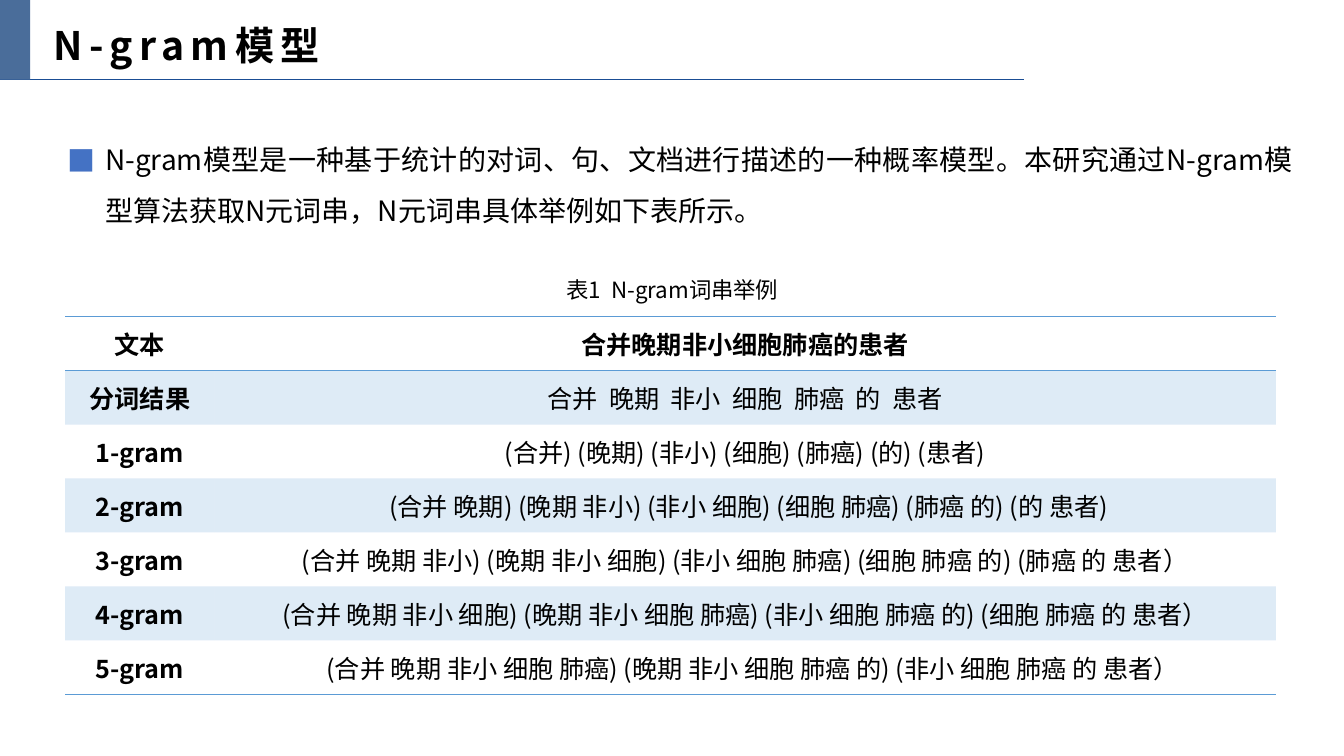
from lxml import etree
from pptx import Presentation
from pptx.dml.color import RGBColor
from pptx.enum import shapes, text
from pptx.oxml.ns import qn
from pptx.util import Pt

FONT = "Noto Sans CJK SC"
COLORS = {"text": "000000", "rule": "1A4D94", "block": "4A6D9A",
          "bullet": "4472C4", "table": "5B9BD5"}
NO_STYLE = "{2D5ABB26-0587-4C30-8999-92F81FD0307C}"

TITLE = "N-gram模型"
INTRO = ("N-gram模型是一种基于统计的对词、句、文档进行描述的一种概率模型。"
         "本研究通过N-gram模型算法获取N元词串，N元词串具体举例如下表所示。")
CAPTION = "表1  N-gram词串举例"
ROWS = [
    ("文本", "合并晚期非小细胞肺癌的患者"),
    ("分词结果", "合并  晚期  非小  细胞  肺癌  的  患者"),
    ("1-gram", "(合并) (晚期) (非小) (细胞) (肺癌) (的) (患者)"),
    ("2-gram", "(合并 晚期) (晚期 非小) (非小 细胞) (细胞 肺癌) (肺癌 的) (的 患者)"),
    ("3-gram", "(合并 晚期 非小) (晚期 非小 细胞) (非小 细胞 肺癌) (细胞 肺癌 的) (肺癌 的 患者）"),
    ("4-gram", "(合并 晚期 非小 细胞) (晚期 非小 细胞 肺癌) (非小 细胞 肺癌 的) (细胞 肺癌 的 患者）"),
    ("5-gram", "(合并 晚期 非小 细胞 肺癌) (晚期 非小 细胞 肺癌 的) (非小 细胞 肺癌 的 患者）"),
]
INDENTS = {3: 5, 6: 10.8}  # left indent of the word-string cell, by row
COLUMNS = (106.5, 758.2)
ROW_HEIGHT = 38.55
BORDERS = {0: ("a:lnT", "a:lnB"), len(ROWS) - 1: ("a:lnB",)}


def rgb(name):
    return RGBColor.from_string(COLORS[name])


def sub(parent, tag, **attrs):
    return etree.SubElement(parent, qn(tag), attrs)


def write(p, words, size, bold=False, **layout):
    for name, value in layout.items():
        setattr(p, name, value)
    r = p.add_run()
    r.text = words
    for name, value in {"name": FONT, "size": Pt(size), "bold": bold}.items():
        setattr(r.font, name, value)
    r.font.color.rgb = rgb("text")
    sub(r.font._element, "a:ea", typeface=FONT)
    return r


def place(sp, left, top, width, height):
    sp.left, sp.top, sp.width, sp.height = map(Pt, (left, top, width, height))


def add_text(slide, box):
    tf = slide.shapes.add_textbox(*map(Pt, box)).text_frame
    tf.word_wrap = True
    tf.auto_size = text.MSO_AUTO_SIZE.SHAPE_TO_FIT_TEXT
    return tf.paragraphs[0]


def add_header(slide):
    line = slide.shapes.add_connector(
        shapes.MSO_CONNECTOR.STRAIGHT, *map(Pt, (0, 56.9, 731.5, 56.9)))
    line.line.color.rgb = rgb("rule")
    line.line.width = Pt(0.5)
    sub(line._element.spPr, "a:effectLst")

    title = slide.shapes.title
    place(title, 31, 11.5, 218.9, 41)
    tf = title.text_frame
    for name, value in {"word_wrap": False,
                        "auto_size": text.MSO_AUTO_SIZE.SHAPE_TO_FIT_TEXT,
                        "vertical_anchor": text.MSO_ANCHOR.TOP}.items():
        setattr(tf, name, value)
    r = write(tf.paragraphs[0], TITLE, 28, True, alignment=text.PP_ALIGN.LEFT,
              line_spacing=1.0, space_before=Pt(0))
    r.font._element.set("spc", "450")

    block = slide.shapes.add_shape(
        shapes.MSO_SHAPE.RECTANGLE, *map(Pt, (0, 0, 21.6, 56.9)))
    block.shadow.inherit = False
    block.fill.solid()
    block.fill.fore_color.rgb = rgb("block")
    block.line.fill.background()


def add_intro(slide):
    p = add_text(slide, (41, 86.4, 889.2, 79.9))
    write(p, INTRO, 20, alignment=text.PP_ALIGN.JUSTIFY, line_spacing=1.5)
    pPr = p._p.get_or_add_pPr()
    pPr.set("marL", str(Pt(27)))
    pPr.set("indent", str(Pt(-27)))
    sub(sub(pPr, "a:buClr"), "a:srgbClr", val=COLORS["bullet"])
    sub(pPr, "a:buFont", typeface=FONT)
    sub(pPr, "a:buChar", char="■")


def format_cell(cell, row):
    for name, value in {"margin_left": Pt(5), "margin_right": Pt(5),
                        "margin_top": 0, "margin_bottom": 0,
                        "vertical_anchor": text.MSO_ANCHOR.MIDDLE}.items():
        setattr(cell, name, value)
    tcPr = cell._tc.get_or_add_tcPr()
    for side in BORDERS.get(row, ()):
        ln = sub(tcPr, side, w=str(Pt(1)))
        sub(sub(ln, "a:solidFill"), "a:srgbClr", val=COLORS["table"])
    if row % 2:
        cell.fill.solid()
        cell.fill.fore_color.rgb = rgb("table")
        sub(tcPr.find(".//" + qn("a:srgbClr")), "a:alpha", val="20000")
    else:
        cell.fill.background()


def add_ngram_table(slide):
    table = slide.shapes.add_table(
        len(ROWS), len(COLUMNS), Pt(46.6), Pt(226.2),
        Pt(sum(COLUMNS)), Pt(ROW_HEIGHT * len(ROWS))).table
    table.first_row = table.horz_banding = False
    table._tbl.tblPr.find(qn("a:tableStyleId")).text = NO_STYLE
    for column, width in zip(table.columns, COLUMNS):
        column.width = Pt(width)
    for i, words in enumerate(ROWS):
        table.rows[i].height = Pt(ROW_HEIGHT)
        for j, word in enumerate(words):
            cell = table.cell(i, j)
            format_cell(cell, i)
            p = cell.text_frame.paragraphs[0]
            write(p, word, 18, i == 0 or j == 0, alignment=text.PP_ALIGN.CENTER)
            if j == 1 and i in INDENTS:
                p._p.get_or_add_pPr().set("marL", str(Pt(INDENTS[i])))


def main():
    prs = Presentation()
    prs.slide_width, prs.slide_height = Pt(960), Pt(540)
    slide = prs.slides.add_slide(prs.slide_layouts[5])
    add_header(slide)
    add_intro(slide)
    write(add_text(slide, (380.2, 184.3, 200.2, 36)), CAPTION, 16,
          alignment=text.PP_ALIGN.CENTER, line_spacing=1.5)
    add_ngram_table(slide)
    prs.save("out.pptx")


if __name__ == "__main__":
    main()
